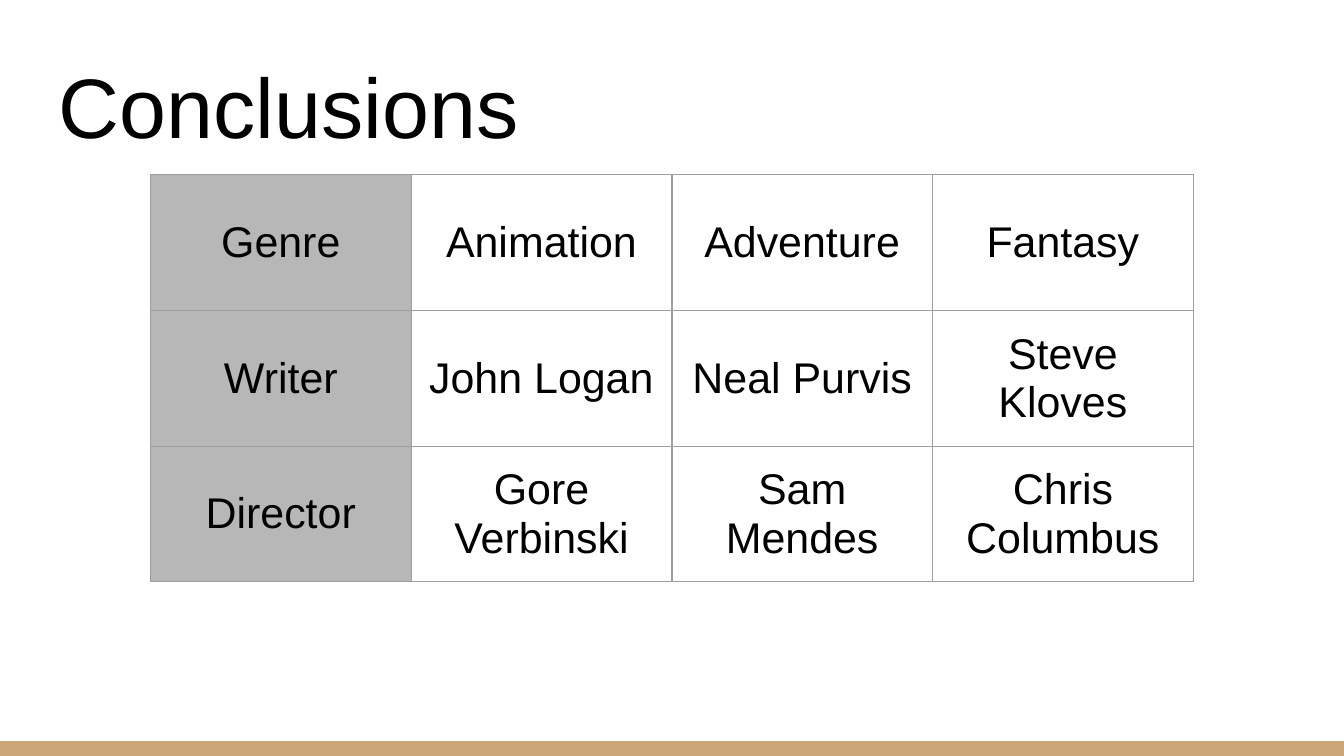
"""Build the Conclusions slide: a title, a film credits table and a foot bar."""
import pptx
import pptx.util
import pptx.dml.color
import pptx.enum.shapes
import pptx.enum.text
import pptx.oxml
import pptx.oxml.ns

Inches = pptx.util.Inches
RGB = pptx.dml.color.RGBColor
ALIGN = pptx.enum.text.PP_ALIGN
ANCHOR = pptx.enum.text.MSO_ANCHOR

WIDE = 10
HIGH = WIDE * 9 / 16
BLACK = RGB(0x00, 0x00, 0x00)
GREY = RGB(0xB7, 0xB7, 0xB7)
LINE = RGB(0x9E, 0x9E, 0x9E)
TAN = RGB(0xCC, 0xA6, 0x77)
INSET = Inches(0.1)
COL, ROW = 1.94, 1.01

CREDITS = (
    ("Genre", "Animation", "Adventure", "Fantasy"),
    ("Writer", "John Logan", "Neal Purvis", "Steve Kloves"),
    ("Director", "Gore Verbinski", "Sam Mendes", "Chris Columbus"),
)


def write(frame, text, size=23, color=BLACK, align=ALIGN.CENTER, font="Arial"):
    para = frame.paragraphs[0]
    para.alignment = align
    run = para.add_run()
    run.text = text
    run.font.name = font
    run.font.size = pptx.util.Pt(size)
    run.font.color.rgb = color


def pad(box):
    box.margin_left = box.margin_right = INSET
    box.margin_top = box.margin_bottom = INSET


def border(cell, color=LINE, width=0.75):
    props = cell._tc.get_or_add_tcPr()
    space = pptx.oxml.ns.nsdecls("a")
    for place, side in enumerate(("lnL", "lnR", "lnT", "lnB")):
        props.insert(place, pptx.oxml.parse_xml(
            f'<a:{side} {space} w="{pptx.util.Pt(width)}"><a:solidFill>'
            f'<a:srgbClr val="{color}"/></a:solidFill></a:{side}>'))


def add_bar(slide, tall=0.11):
    bar = slide.shapes.add_shape(
        pptx.enum.shapes.MSO_SHAPE.RECTANGLE, 0, Inches(HIGH - tall),
        Inches(WIDE), Inches(tall))
    bar.shadow.inherit = False
    bar.fill.solid()
    bar.fill.fore_color.rgb = TAN
    bar.line.fill.background()


def add_title(slide, text):
    left = 0.34
    box = slide.shapes.add_textbox(
        Inches(left), Inches(0.35), Inches(WIDE - 2 * left), Inches(0.91))
    frame = box.text_frame
    frame.word_wrap = True
    frame.vertical_anchor = ANCHOR.BOTTOM
    pad(frame)
    write(frame, text, size=45.2, align=ALIGN.LEFT)


def add_grid(slide, rows):
    down, across = len(rows), len(rows[0])
    wide = across * COL
    table = slide.shapes.add_table(
        down, across, Inches((WIDE - wide) / 2), Inches(1.3),
        Inches(wide), Inches(down * ROW)).table
    table.first_row = table.horz_banding = False
    for col in table.columns:
        col.width = Inches(COL)
    for r, row in enumerate(rows):
        table.rows[r].height = Inches(ROW)
        for c, text in enumerate(row):
            cell = table.cell(r, c)
            pad(cell)
            cell.vertical_anchor = ANCHOR.MIDDLE
            if c == 0:
                cell.fill.solid()
                cell.fill.fore_color.rgb = GREY
            else:
                cell.fill.background()
            border(cell)
            write(cell.text_frame, text)


def main():
    deck = pptx.Presentation()
    deck.slide_width, deck.slide_height = Inches(WIDE), Inches(HIGH)
    slide = deck.slides.add_slide(deck.slide_layouts[6])
    add_bar(slide)
    add_title(slide, "Conclusions")
    add_grid(slide, CREDITS)
    deck.save("out.pptx")


if __name__ == "__main__":
    main()
